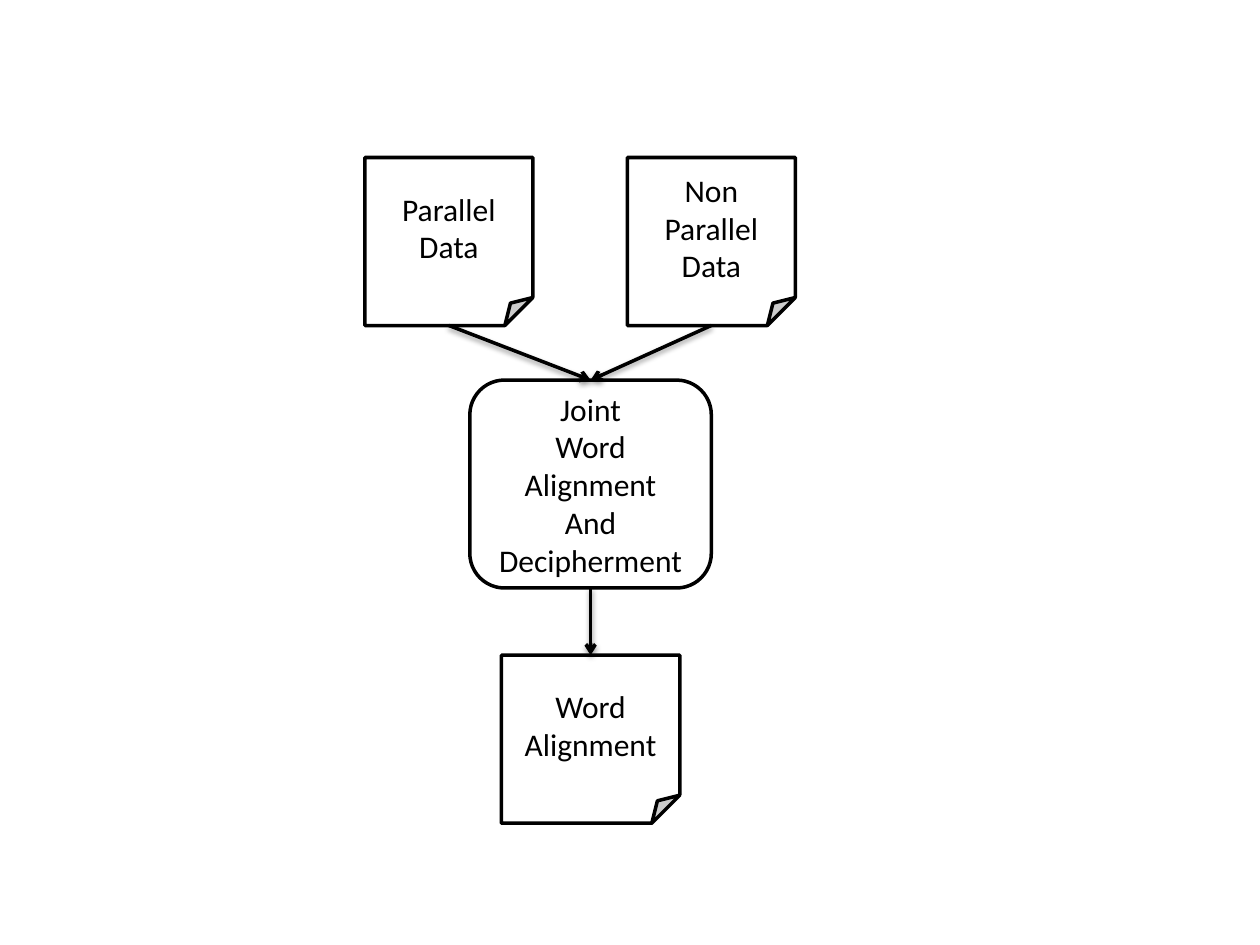
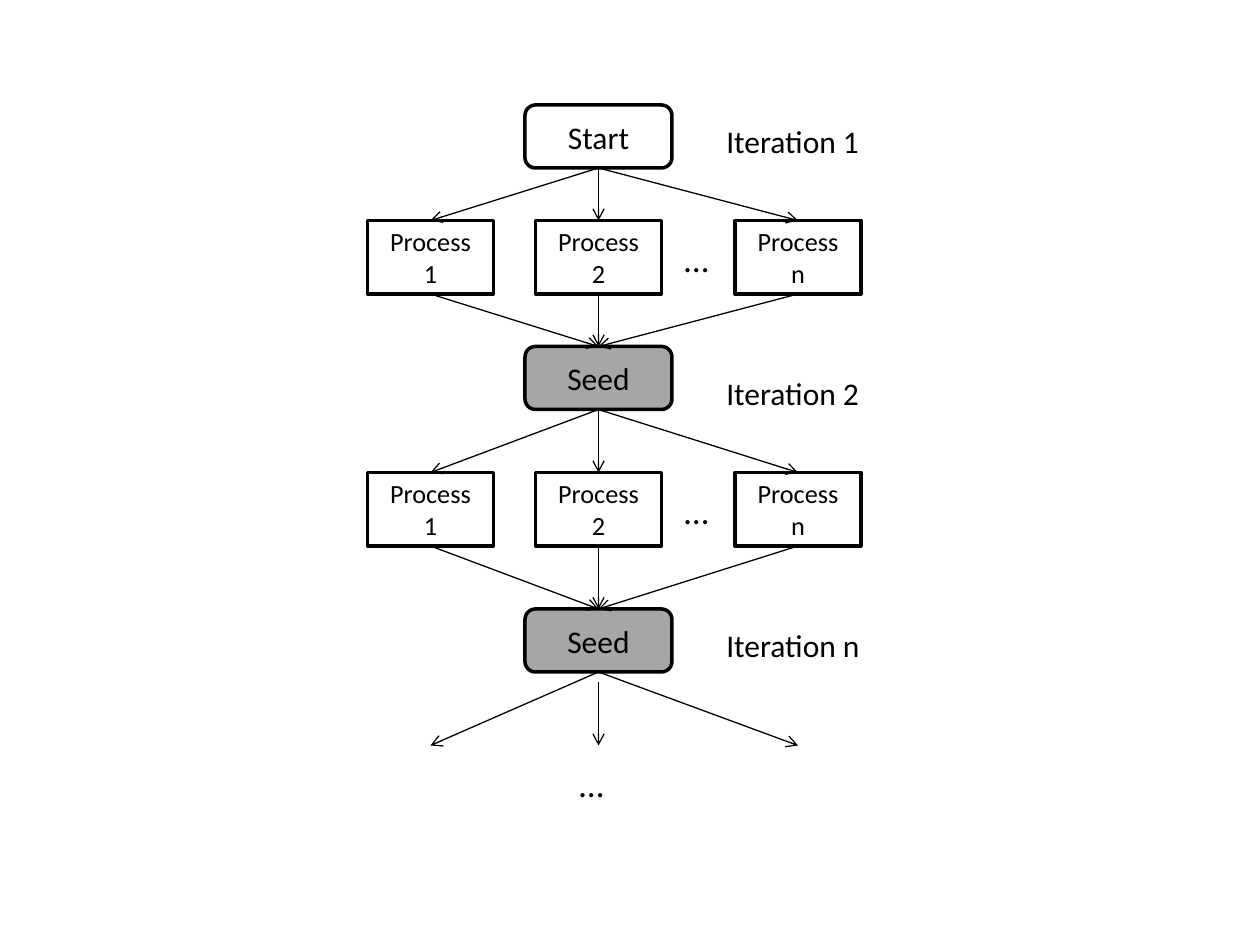
from lxml.etree import SubElement
from pptx import Presentation
from pptx.dml.color import RGBColor
from pptx.enum.shapes import MSO_CONNECTOR, MSO_SHAPE
from pptx.enum.text import MSO_ANCHOR, PP_ALIGN
from pptx.oxml import parse_xml
from pptx.oxml.ns import nsdecls, qn
from pptx.util import Inches, Pt

COLORS = {"ink": "000000", "paper": "FFFFFF", "seed": "A6A6A6"}
FONT = "Calibri"
UNIT = Inches(10) // 120  # grid of 120 columns by 90 rows
TOP, BOTTOM = 0, 2  # connection sites of a box
SHADOW = (
    f'<a:effectLst {nsdecls("a")}><a:outerShdw blurRad="{Pt(3.1)}" dist="{Pt(1.6)}" '
    f'dir="5400000" rotWithShape="0"><a:srgbClr val="{COLORS["ink"]}">'
    '<a:alpha val="38000"/></a:srgbClr></a:outerShdw></a:effectLst>'
)
NO_SHADOW = f'<a:effectLst {nsdecls("a")}/>'


def add_text(slide, lines, cell, size=18, preset=None, fill="paper"):
    """Write lines in a grid cell: in a box of the given preset, or as a plain label."""
    frame = [int(share * UNIT) for share in cell]
    if preset is None:
        item = slide.shapes.add_textbox(*frame)
    else:
        item = slide.shapes.add_shape(preset, *frame)
        item.shadow.inherit = False
        item.fill.solid()
        item.fill.fore_color.rgb = RGBColor.from_string(COLORS[fill])
        item.line.color.rgb = RGBColor.from_string(COLORS["ink"])
        item.line.width = Pt(2)
    item.text_frame.word_wrap = True
    item.text_frame.vertical_anchor = MSO_ANCHOR.MIDDLE if preset else MSO_ANCHOR.TOP
    item.text_frame.text = lines
    for paragraph in item.text_frame.paragraphs:
        paragraph.alignment = PP_ALIGN.CENTER if preset else PP_ALIGN.LEFT
        for name, value in {"name": FONT, "size": Pt(size)}.items():
            setattr(paragraph.font, name, value)
        paragraph.font.color.rgb = RGBColor.from_string(COLORS["ink"])
    return item


def add_arrow(slide, start, end, width=0.75, effect=NO_SHADOW):
    """Draw an arrow; each end is a box to attach to, or a (column, row) point."""
    points = [point if isinstance(point, tuple) else (0, 0) for point in (start, end)]
    arrow = slide.shapes.add_connector(
        MSO_CONNECTOR.STRAIGHT, *[int(share * UNIT) for point in points for share in point])
    if not isinstance(start, tuple):
        arrow.begin_connect(start, BOTTOM)
    if not isinstance(end, tuple):
        arrow.end_connect(end, TOP)
    arrow.line.color.rgb = RGBColor.from_string(COLORS["ink"])
    arrow.line.width = Pt(width)
    SubElement(arrow.line._get_or_add_ln(), qn("a:tailEnd"), type="arrow")
    arrow._element.spPr.append(parse_xml(effect))


deck = Presentation()
deck.slide_width, deck.slide_height = 120 * UNIT, 90 * UNIT
blank = deck.slide_layouts[6]

# Slide 1: joint word alignment and decipherment
pipeline = deck.slides.add_slide(blank)
parallel, non_parallel, alignment = [
    add_text(pipeline, lines, cell, preset=MSO_SHAPE.FOLDED_CORNER)
    for lines, cell in (
        ("Parallel\nData", (34.75, 15, 16, 16)),
        ("Non Parallel\nData", (59.75, 15, 16, 16)),
        ("Word\nAlignment", (47.75, 62.4, 17, 16)),
    )
]
joint = add_text(pipeline, "Joint\nWord Alignment\nAnd\nDecipherment",
                 (44.75, 36.2, 23, 19.8), preset=MSO_SHAPE.ROUNDED_RECTANGLE)
for source, target in ((parallel, joint), (non_parallel, joint), (joint, alignment)):
    add_arrow(pipeline, source, target, width=2, effect=SHADOW)

# Slide 2: parallel processes, seeded again at each iteration
iterations = deck.slides.add_slide(blank)
PROCESSES = {"1": 35, "2": 51, "n": 70}  # left column of each process
CENTER = 57
PERIOD = 24  # rows from one iteration to the next

# Start and seeds, with the iteration labels
seeds = []
for step, (lines, row, fill, number) in enumerate((
        ("Start", 10, "paper", "1"), ("Seed", 33, "seed", "2"), ("Seed", 58, "seed", "n"))):
    seeds.append(add_text(iterations, lines, (CENTER - 7, row, 14, 6),
                          preset=MSO_SHAPE.ROUNDED_RECTANGLE, fill=fill))
    add_text(iterations, f"Iteration {number}", (68, 11 + PERIOD * step, 17, 4.8))

# Processes between each seed and the next
for step, (seed, next_seed) in enumerate(zip(seeds, seeds[1:])):
    row = 21 + PERIOD * step
    for number, column in PROCESSES.items():
        process = add_text(iterations, f"Process\n{number}", (column, row, 12, 7),
                           size=15, preset=MSO_SHAPE.RECTANGLE)
        add_arrow(iterations, seed, process)
        add_arrow(iterations, process, next_seed)
    add_text(iterations, "…", (64, row + 1, 8, 5.25), size=20)

# Open end after the last seed
for column in PROCESSES.values():
    middle = column + 6
    start = (CENTER, 65) if middle == CENTER else seeds[-1]
    add_arrow(iterations, start, (middle, 71))
add_text(iterations, "…", (54, 72, 8, 5.25), size=20)

deck.save("out.pptx")
